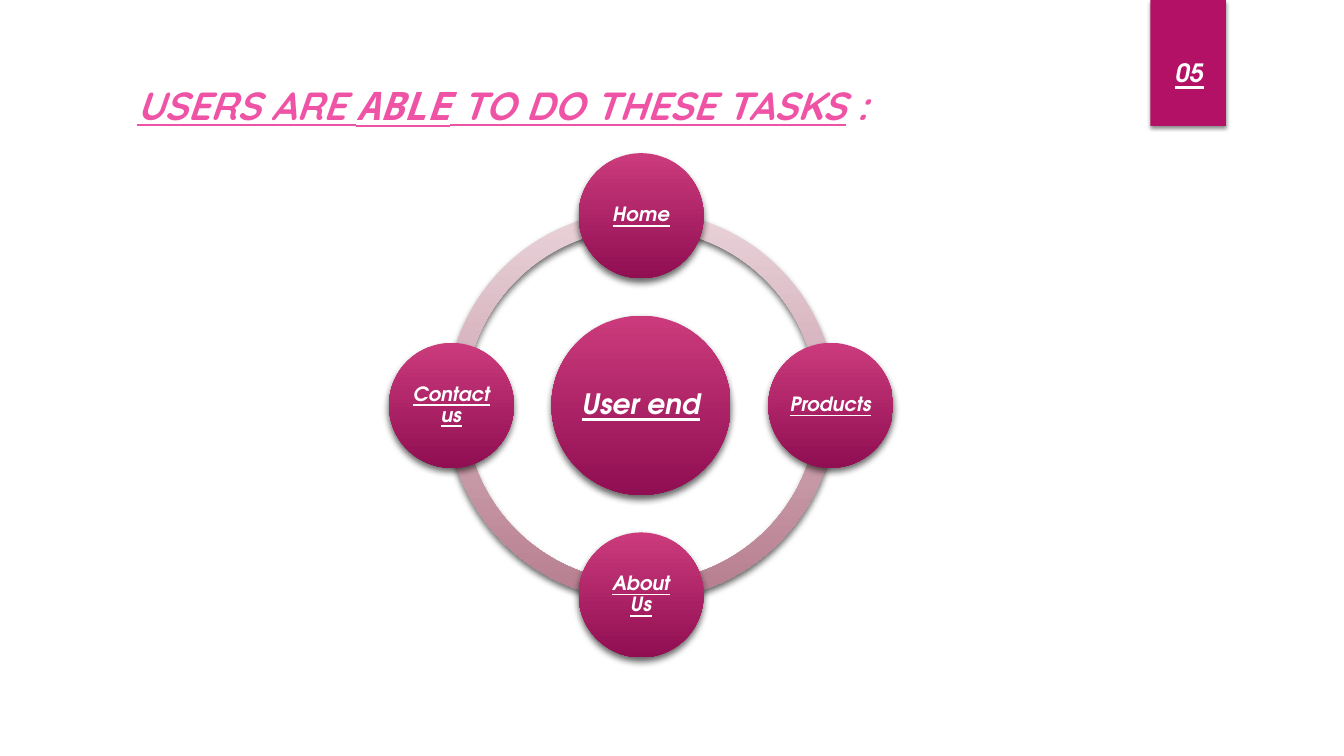
import math

from lxml import etree
from pptx import Presentation
from pptx.dml.color import RGBColor
from pptx.enum.shapes import MSO_SHAPE
from pptx.enum.text import MSO_ANCHOR, PP_ALIGN
from pptx.oxml.ns import qn
from pptx.util import Inches, Pt

RECTANGLE, OVAL, ARC = MSO_SHAPE.RECTANGLE, MSO_SHAPE.OVAL, MSO_SHAPE.BLOCK_ARC
MIDDLE, CENTER = MSO_ANCHOR.MIDDLE, PP_ALIGN.CENTER
COLUMNS, ROWS = 64, 36
BODY_FONT, TITLE_FONT, MONO_FONT = "TeX Gyre Adventor", "Quicksand", "Noto Sans Mono"
WHITE, PINK, MAGENTA = "FFFFFF", "EF53A5", "B31166"
DISC_SHADES = ("CB3B7C", "900E52")
RING_SHADES = ("E9D2D9", "B77E8F")
# Shadow: opacity in percent, blur and distance in points
RIBBON_SHADOW, DIAGRAM_SHADOW = (45, 3, 2), (60, 5, 3)


def rgb(code):
    return RGBColor.from_string(code)


class Slide:
    """Places elements on a grid of 64 columns by 36 rows."""

    def __init__(self, deck):
        self.column = deck.slide_width / COLUMNS
        self.row = deck.slide_height / ROWS
        self.shapes = deck.slides.add_slide(deck.slide_layouts[6]).shapes

    def box(self, left, top, width, height):
        return (round(left * self.column), round(top * self.row),
                round(width * self.column), round(height * self.row))

    def shape(self, preset, box, shades, shadow):
        shape = self.shapes.add_shape(preset, *self.box(*box))
        shape.line.fill.background()
        if len(shades) == 1:
            shape.fill.solid()
            shape.fill.fore_color.rgb = rgb(shades[0])
        else:
            shape.fill.gradient()
            shape.fill.gradient_angle = 270
            for stop, shade in zip(shape.fill.gradient_stops, shades):
                stop.color.rgb = rgb(shade)
        self.drop_shadow(shape, *shadow)
        return shape

    def drop_shadow(self, shape, opacity, blur, distance):
        shape.shadow.inherit = False
        effects = shape.element.spPr.find(qn("a:effectLst"))
        outer = etree.SubElement(effects, qn("a:outerShdw"), blurRad=str(Pt(blur)),
                                 dist=str(Pt(distance)), dir="5400000", rotWithShape="0")
        tone = etree.SubElement(outer, qn("a:srgbClr"), val="000000")
        etree.SubElement(tone, qn("a:alpha"), val=str(opacity * 1000))

    def run(self, paragraph, text, size, color=WHITE, font=BODY_FONT, underline=True):
        run = paragraph.add_run()
        run.text = text
        style = run.font
        style.name, style.size, style.color.rgb = font, Pt(size), rgb(color)
        style.bold, style.italic, style.underline = True, True, underline

    def text_box(self, box):
        frame = self.shapes.add_textbox(*self.box(*box)).text_frame
        frame.word_wrap = True
        return frame.paragraphs[0]

    def disc(self, x, y, diameter, label, size, inset):
        box = (x - diameter / 2, y - diameter / 2, diameter, diameter)
        frame = self.shape(OVAL, box, DISC_SHADES, DIAGRAM_SHADOW).text_frame
        frame.word_wrap, frame.vertical_anchor = True, MIDDLE
        frame.margin_left = frame.margin_right = Inches(inset)
        frame.margin_top = frame.margin_bottom = Inches(inset)
        paragraph = frame.paragraphs[0]
        paragraph.alignment, paragraph.line_spacing = CENTER, 0.9
        paragraph.space_after = Pt(size * 0.35)
        self.run(paragraph, label, size)

    def quarter_ring(self, x, y, diameter, start):
        box = (x - diameter / 2, y - diameter / 2, diameter, diameter)
        arc = self.shape(ARC, box, RING_SHADES, DIAGRAM_SHADOW)
        # Arc angles are stored at 0.6 per degree
        arc.adjustments[0] = start * 0.6
        arc.adjustments[1] = (start + 90) % 360 * 0.6
        arc.adjustments[2] = 0.046


def main():
    deck = Presentation()
    deck.slide_width, deck.slide_height = Inches(13.33), Inches(7.5)
    slide = Slide(deck)

    # Page ribbon
    slide.shape(RECTANGLE, (54.78, 0, 3.6, 6), (MAGENTA,), RIBBON_SHADOW)

    # Title
    title = slide.text_box((6.05, 3.65, 46.33, 2.98))
    title.space_before = Pt(10)
    for words, font, underline in (("USERS ARE ", TITLE_FONT, True),
                                   ("ABLE", MONO_FONT, True),
                                   (" TO DO THESE TASKS", TITLE_FONT, True),
                                   (" :", TITLE_FONT, False)):
        slide.run(title, words, 28, PINK, font, underline)

    # Page number
    slide.run(slide.text_box((55.5, 2.5, 2.5, 1.92)), "05", 18)

    # Ring, hub and the four pages around it, clockwise from the top
    hub_x, hub_y, orbit = 30.53, 19.3, 9.03
    for start in (180, 90, 0, 270):
        slide.quarter_ring(hub_x, hub_y, 18.53, start)
    slide.disc(hub_x, hub_y, 8.54, "User end", 20, 0.03)
    pages = ("Home", "Products", "About Us", "Contact us")
    for index, page in enumerate(pages):
        angle = math.tau * index / len(pages)
        slide.disc(hub_x + orbit * math.sin(angle), hub_y - orbit * math.cos(angle),
                   5.95, page, 14, 0.02)

    deck.save("out.pptx")


if __name__ == "__main__":
    main()
